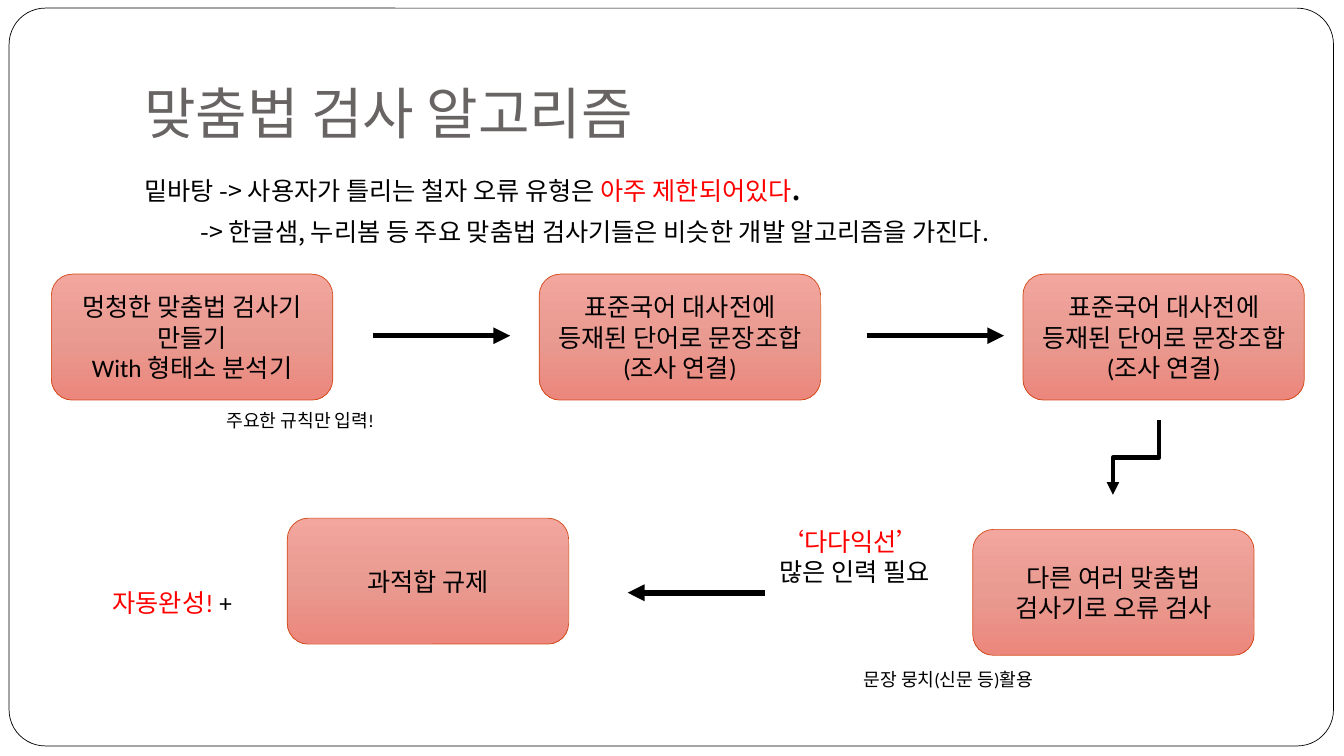
from copy import deepcopy

from lxml import etree
from pptx import Presentation
from pptx.dml.color import RGBColor
from pptx.enum.shapes import MSO_CONNECTOR, MSO_SHAPE
from pptx.enum.text import MSO_ANCHOR, PP_ALIGN
from pptx.oxml.ns import qn
from pptx.util import Pt

ROUNDED = MSO_SHAPE.ROUNDED_RECTANGLE
STRAIGHT, ELBOW = MSO_CONNECTOR.STRAIGHT, MSO_CONNECTOR.ELBOW
MIDDLE, TOP, BOTTOM = MSO_ANCHOR.MIDDLE, MSO_ANCHOR.TOP, MSO_ANCHOR.BOTTOM
LEFT, CENTER = PP_ALIGN.LEFT, PP_ALIGN.CENTER
KOREAN, LATIN = "Noto Sans CJK KR", "Calibri"
COLORS = {
    "paper": "FFFFFF", "ink": "000000", "title": "696464", "accent": "FF0000",
    "edge": "D34817", "light": "F2A69E", "mid": "E99A91", "deep": "EB877C",
}
STEP_WIDTH, STEP_HEIGHT, ARROW_LENGTH = 201, 90, 98


def color(name):
    return RGBColor.from_string(COLORS[name])


def points(*values):
    return [Pt(value) for value in values]


def write(shape, paragraphs, size, font=LATIN, anchor=MIDDLE, align=LEFT, before=0):
    frame = shape.text_frame
    frame_format = {"word_wrap": True, "vertical_anchor": anchor}
    for name, value in frame_format.items():
        setattr(frame, name, value)
    for index, spans in enumerate(paragraphs):
        para = frame.add_paragraph() if index else frame.paragraphs[0]
        para_format = {"alignment": align, "space_before": Pt(before)}
        for name, value in para_format.items():
            setattr(para, name, value)
        for text, tone, *special in spans:
            span = para.add_run()
            span.text = text
            span_format = {"size": Pt(special[0] if special else size), "name": font}
            for name, value in span_format.items():
                setattr(span.font, name, value)
            span.font.color.rgb = color(tone)
            east_asian = etree.SubElement(span.font._element, qn("a:ea"))
            east_asian.set("typeface", KOREAN)
    return frame


def add_rounded(page, box, edge):
    shape = page.shapes.add_shape(ROUNDED, *points(*box))
    shape.shadow.inherit = False
    shape.line.color.rgb = color(edge)
    shape.line.width = Pt(0.5)
    return shape


def add_frame(page, box):
    frame = add_rounded(page, box, "ink")
    frame.adjustments[0] = 0.049
    frame.fill.solid()
    frame.fill.fore_color.rgb = color("paper")
    page.shapes.title.element.addprevious(frame.element)


def add_title(page, box, text):
    title = page.shapes.title
    for name, value in zip(("left", "top", "width", "height"), points(*box)):
        setattr(title, name, value)
    frame = write(title, [[(text, "title")]], 40, KOREAN, BOTTOM)
    frame.margin_bottom = Pt(7.2)


def add_intro(page, box):
    intro = page.shapes.add_textbox(*points(*box))
    frame = write(intro, [
        [("밑바탕 -> 사용자가 틀리는 철자 오류 유형은 ", "ink"),
         ("아주 제한되어있다", "accent"), (".", "ink", 26)],
        [("-> 한글샘, 누리봄 등 주요 맞춤법 검사기들은 비슷한 개발 알고리즘을 가진다.", "ink")],
    ], 18, KOREAN, TOP, before=5.8)
    properties = frame.paragraphs[1]._p.get_or_add_pPr()
    properties.set("marL", str(Pt(40)))
    properties.set("indent", "0")


def add_step(page, left, top, lines):
    step = add_rounded(page, (left, top, STEP_WIDTH, STEP_HEIGHT), "edge")
    step.fill.gradient()
    step.fill.gradient_angle = 270
    stops = step.element.spPr.find(".//" + qn("a:gsLst"))
    stops.insert(1, deepcopy(stops[0]))
    for index, (stop, tone) in enumerate(zip(step.fill.gradient_stops, ("light", "mid", "deep"))):
        stop.color.rgb = color(tone)
        stop.position = index / 2
    write(step, [[(line, "ink")] for line in lines], 18, align=CENTER)


def add_arrow(page, kind, start, end, width):
    arrow = page.shapes.add_connector(kind, *points(*start, *end))
    arrow.line.color.rgb = color("ink")
    arrow.line.width = Pt(width)
    etree.SubElement(arrow.line._get_or_add_ln(), qn("a:tailEnd")).set("type", "triangle")
    etree.SubElement(arrow.element.spPr, qn("a:effectLst"))
    return arrow


def add_down_arrow(page, center_x, center_y, drop, shift):
    start = (center_x - drop / 2, center_y - shift / 2)
    end = (center_x + drop / 2, center_y + shift / 2)
    arrow = add_arrow(page, ELBOW, start, end, 3)
    arrow.element.spPr.find(qn("a:xfrm")).set("rot", str(90 * 60000))


def add_note(page, box, paragraphs, size):
    write(page.shapes.add_textbox(*points(*box)), paragraphs, size)


def add_upper_row(page, left, top):
    sentence = ["표준국어 대사전에 등재된 단어로 문장조합(조사 연결)"]
    first = ["멍청한 맞춤법 검사기", "만들기", "With 형태소 분석기"]
    for offset, lines in ((0, first), (348.5, sentence), (694, sentence)):
        add_step(page, left + offset, top, lines)
    for offset in (229.7, 582.5):
        start = left + offset
        middle = top + STEP_HEIGHT / 2 - 1
        add_arrow(page, STRAIGHT, (start, middle), (start + ARROW_LENGTH, middle), 4)
    add_note(page, (left + 118, top + 93, 189, 23), [[("주요한 규칙만 입력!", "ink")]], 13)
    add_down_arrow(page, left + 774.8, top + 131, 53.3, 33.1)


def add_lower_row(page, left, top):
    add_step(page, left + 131.8, top, ["과적합 규제"])
    add_step(page, left + 621.4, top + 8, ["다른 여러 맞춤법 검사기로 오류 검사"])
    start = left + 473
    add_arrow(page, STRAIGHT, (start, top + 53.3), (start - ARROW_LENGTH, top + 53.3), 4)
    add_note(page, (left, top + 45.4, 127, 29),
             [[("자동완성! ", "accent"), ("+", "ink")]], 18)
    add_note(page, (left + 476, top + 2, 139, 51),
             [[("‘다다익선’", "accent")], [("많은 인력 필요", "ink")]], 18)
    add_note(page, (left + 536.4, top + 103.7, 169, 23),
             [[("문장 뭉치(신문 등)활용", "ink")]], 13)


def main():
    deck = Presentation()
    deck.slide_width, deck.slide_height = points(960, 540)
    page = deck.slides.add_slide(deck.slide_layouts[5])
    add_frame(page, (6.5, 5.8, 946, 527))
    add_title(page, (96, 21.6, 816, 90), "맞춤법 검사 알고리즘")
    add_intro(page, (96, 113.8, 816, 75))
    add_upper_row(page, 36.7, 195.8)
    add_lower_row(page, 73.4, 370.1)
    deck.save("out.pptx")


if __name__ == "__main__":
    main()
